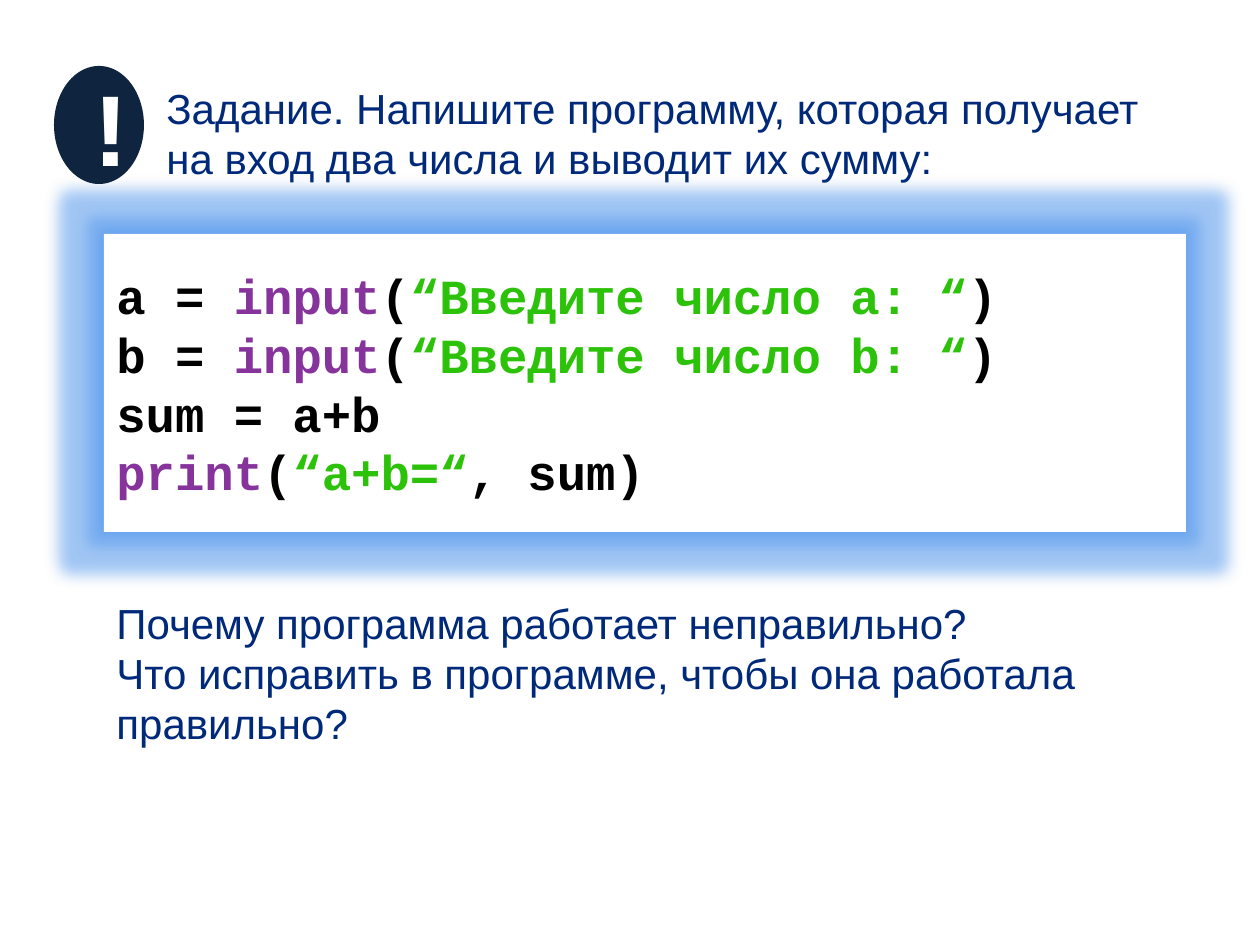
from lxml import etree
from pptx import Presentation
from pptx.dml.color import RGBColor
from pptx.enum.shapes import MSO_SHAPE
from pptx.enum.text import MSO_ANCHOR, PP_ALIGN
from pptx.oxml.ns import qn
from pptx.util import Pt

RECT, OVAL = MSO_SHAPE.RECTANGLE, MSO_SHAPE.OVAL
LEFT, CENTER = PP_ALIGN.LEFT, PP_ALIGN.CENTER
MIDDLE = MSO_ANCHOR.MIDDLE
EMU = 914400 / 126
COLORS = {
    "navy": "00297A", "dark": "0F243E", "white": "FFFFFF", "black": "000000",
    "call": "86349C", "text": "2DC20A", "glow": "4A92EC",
}


def px(value):
    return round(value * EMU)


class Page:
    def __init__(self, slide):
        self.shapes = slide.shapes
        self.sans, self.mono = "Arial", "Courier New"

    def color(self, name):
        return RGBColor.from_string(COLORS[name])

    def style(self, par, font, size, color=None, bold=False):
        par.font.name, par.font.size, par.font.bold = font, Pt(size), bold
        if color:
            par.font.color.rgb = self.color(color)

    def text(self, box, lines):
        frame = self.shapes.add_textbox(*map(px, box)).text_frame
        frame.word_wrap = True
        frame.text = "\n".join(lines)
        for par in frame.paragraphs:
            self.style(par, self.sans, 24, "navy")

    def shape(self, kind, box, fill):
        shape = self.shapes.add_shape(kind, *map(px, box))
        shape.shadow.inherit = False
        shape.fill.solid()
        shape.fill.fore_color.rgb = self.color(fill)
        shape.line.fill.background()
        shape.text_frame.word_wrap = True
        shape.text_frame.vertical_anchor = MIDDLE
        return shape

    def badge(self, box, mark):
        frame = self.shape(OVAL, box, "dark").text_frame
        frame.text = mark
        par = frame.paragraphs[0]
        par.alignment = CENTER
        self.style(par, self.mono, 60, "white", True)

    def glow(self, shape, layers):
        root = shape._element.spPr.find(qn("a:effectLst"))
        for tag, key, size, alpha in layers:
            layer = etree.SubElement(root, qn(tag), {key: str(px(size))})
            tint = etree.SubElement(layer, qn("a:srgbClr"), val=COLORS["glow"])
            etree.SubElement(tint, qn("a:alpha"), val=str(alpha * 1000))

    def code(self, box, lines):
        shape = self.shape(RECT, box, "white")
        self.glow(shape, [("a:glow", "rad", 29, 45),
                          ("a:outerShdw", "blurRad", 10, 60)])
        frame = shape.text_frame
        for i, line in enumerate(lines):
            par = frame.add_paragraph() if i else frame.paragraphs[0]
            par.alignment = LEFT
            self.style(par, self.mono, 28, bold=True)
            for words, color in line:
                run = par.add_run()
                run.text = words
                run.font.color.rgb = self.color(color)


def ask(name):
    return [(f"{name} = ", "black"), ("input", "call"), ("(", "black"),
            (f"“Введите число {name}: “", "text"), (")", "black")]


def main():
    deck = Presentation()
    deck.slide_width, deck.slide_height = px(1260), px(945)
    page = Page(deck.slides.add_slide(deck.slide_layouts[6]))
    page.text((154, 76, 1032, 115), [
        "Задание. Напишите программу, которая получает на вход два числа "
        "и выводит их сумму:"])
    page.code((104, 234, 1082, 298), [
        ask("a"),
        ask("b"),
        [("sum = a+b", "black")],
        [("print", "call"), ("(", "black"), ("“a+b=“", "text"),
         (", sum)", "black")],
    ])
    page.text((104, 591, 1062, 165), [
        "Почему программа работает неправильно?",
        "Что исправить в программе, чтобы она работала правильно?"])
    page.badge((54, 66, 90, 118), "!")
    deck.save("out.pptx")


if __name__ == "__main__":
    main()
